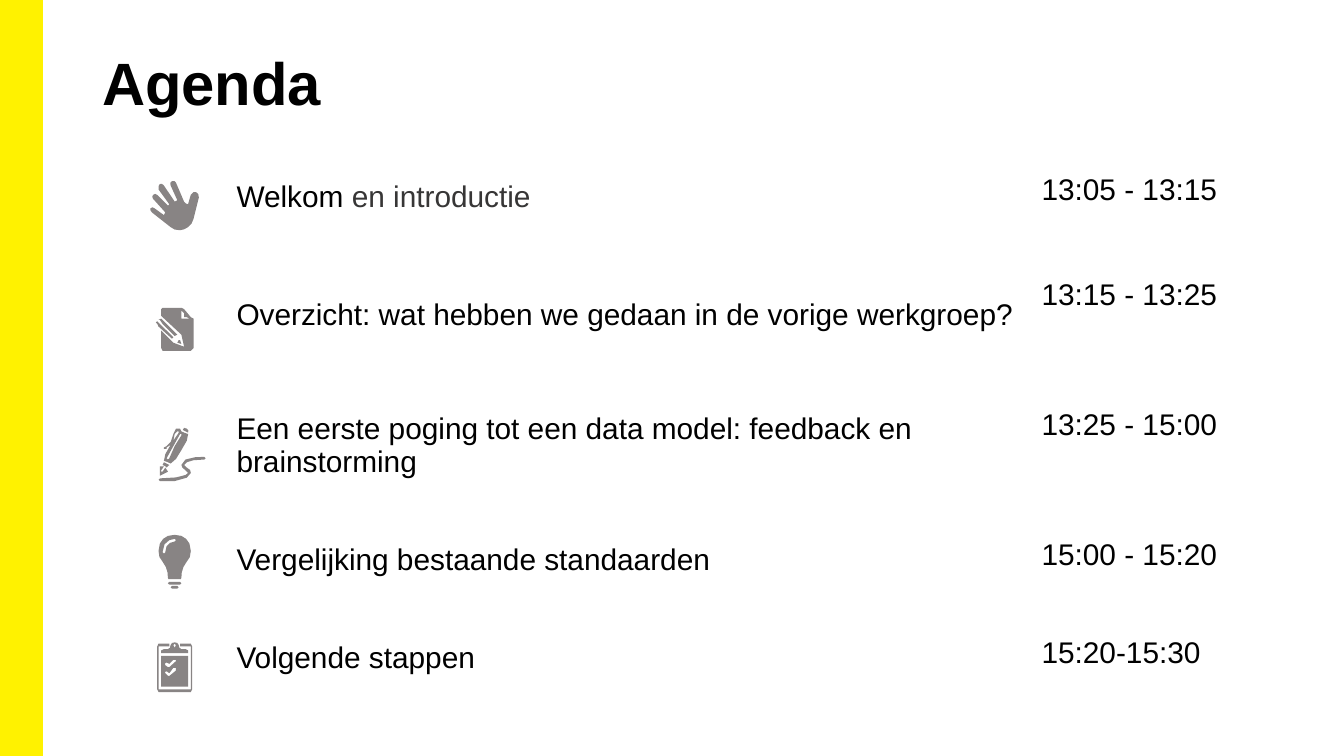
from pptx import Presentation
from pptx.dml.color import RGBColor
from pptx.enum.shapes import MSO_SHAPE
from pptx.enum.text import MSO_ANCHOR, MSO_AUTO_SIZE, PP_ALIGN
from pptx.util import Inches, Pt

YELLOW, GREY, BLACK, DARK = "FFF200", "888484", "000000", "373636"

AGENDA = [
    (0.78, [("Welkom", BLACK), (" en introductie", DARK)], "13:05 - 13:15"),
    (0.97, [("Overzicht: wat hebben we gedaan in de vorige werkgroep?", BLACK)], "13:15 - 13:25"),
    (0.97, [("Een eerste poging tot een data model: feedback en brainstorming", BLACK)],
     "13:25 - 15:00"),
    (0.73, [("Vergelijking bestaande standaarden", BLACK)], "15:00 - 15:20"),
    (0.73, [("Volgende stappen", BLACK)], "15:20-15:30"),
]

HAND = [
    [(146, 143), (144, 143), (142, 145), (140, 152), (138.5, 151.5), (137, 150), (131, 136),
     (130, 134.8), (128, 134.8), (126.8, 136), (127, 138), (132, 149), (130, 150), (122, 138),
     (120.5, 136.8), (119, 137), (118, 138.5), (118, 141), (126, 152), (125, 153), (117, 145),
     (115.5, 144.3), (114, 145), (113.3, 146.5), (114, 148), (123, 158), (122, 160), (115, 155),
     (113.5, 154.3), (112, 155), (112, 156.5), (113, 158), (127, 169), (130, 170.8),
     (134, 171.3), (137, 170.7), (140, 169), (142.5, 166.5), (144, 163), (148, 147),
     (147.6, 144.5)],
]
NOTE = [
    [(142, 236), (137, 230), (135, 229), (121, 229), (120, 230), (120, 235), (121, 236),
     (135, 249), (137, 258), (129, 255), (120, 246), (120, 259), (121, 261), (142, 261),
     (144, 259), (144, 237)],
    [(135, 237), (135, 231), (137, 233), (137, 236), (139, 236), (141, 237)],
    [(120, 242), (129, 251), (128, 252), (118, 243), (117, 241), (116, 240), (117, 239),
     (118, 240)],
    [(120, 237), (118, 238), (119, 238), (121, 241), (130, 250), (132, 249), (122, 239)],
    [(134, 253), (133, 253), (132, 255), (135, 256)],
]
PEN = [
    [(122, 334), (124, 334), (124, 333), (127, 331), (123, 338), (122, 343), (125, 344),
     (127, 345), (131, 341.5), (135, 335), (139, 328), (140, 323), (137, 322), (135, 321),
     (134, 319), (131, 319), (129, 323), (127, 329), (124, 332), (122, 333)],
    [(134, 323), (135, 323), (135, 324), (130, 332), (126, 341), (125, 342), (124, 341),
     (129, 332)],
    [(130, 323), (132, 321), (133, 321), (133, 322), (129, 328)],
    [(123, 347), (121, 346), (122, 344), (126, 346), (124, 348)],
    [(140, 322), (136, 320), (137, 318.4), (139, 319), (140.2, 320.4)],
    [(153, 341), (152, 342), (144, 342.5), (139, 344), (137, 346), (139, 348), (141.5, 349.8),
     (142, 352), (139, 355.5), (130, 358), (119, 358), (118, 357), (119, 356), (131, 355.3),
     (138, 353.5), (140, 352), (138, 350), (135.7, 348), (135, 346), (138, 342), (145, 340.3),
     (152, 340)],
    [(125, 351), (119, 354), (119, 347), (122, 347), (120, 350), (120, 351), (121, 351),
     (123, 348)],
]
BULB = [
    [(135, 434), (134, 435), (126, 435), (125, 434), (126, 433), (134, 433)],
    [(132, 436), (128, 436), (127, 437), (128, 438), (132, 438), (133, 437)],
    [(142, 410), (141.3, 414.5), (139, 418), (136.5, 422), (135.3, 426), (135, 430),
     (134.5, 431), (125.5, 431), (125, 430), (124.7, 426), (123.5, 422), (121, 418),
     (118.7, 414.5), (118, 410), (119, 404.5), (121.5, 401), (125, 398.8), (130, 398),
     (135, 398.8), (138.5, 401), (141, 404.5)],
    [(131, 402), (130, 401), (126, 402), (122.5, 405), (121, 411), (122, 412), (123, 411),
     (124, 406.5), (126.5, 404), (130, 403)],
]
CLIPBOARD = [
    [(143, 481), (143, 513), (142, 515), (118, 515), (117, 513), (117, 481), (118, 479),
     (126, 479), (126, 481), (118, 481), (118, 513), (142, 513), (142, 481), (134, 481),
     (134, 479), (142, 479)],
    [(140, 488), (140, 511), (120, 511), (120, 488)],
    [(131, 497), (129, 497), (126, 501), (124, 499.5), (123, 500), (123, 501), (125, 503),
     (126, 503), (131, 499)],
    [(131, 491), (129, 491), (126, 494), (124, 493), (123, 493.5), (123, 495), (125, 496.5),
     (126, 496.5), (131, 492)],
    [(120, 484), (122, 483), (125, 483), (126.5, 482), (127, 480), (128, 478.5), (130, 478),
     (132, 478.5), (133, 480), (133.5, 482), (135, 483), (138, 483), (140, 484), (140, 486),
     (120, 486)],
    [(129, 480), (130, 482), (131, 480), (130, 479)],
]


def color(value):
    """Turn a hex string into a colour."""
    return RGBColor.from_string(value)


class AgendaSlide:
    """Hold the text style and the current slide."""

    style = {"name": "Arial", "size": Pt(16), "bold": False}

    def __init__(self, prs):
        """Add a slide with a title placeholder."""
        self.s = prs.slides.add_slide(prs.slide_layouts[5])

    def run(self, p, text, rgb=BLACK, **changes):
        """Add a formatted run to a paragraph."""
        r = p.add_run()
        r.text = text
        for key, value in {**self.style, **changes}.items():
            setattr(r.font, key, value)
        r.font.color.rgb = color(rgb)

    def bar(self, left, top, width, height):
        """Draw the coloured edge bar."""
        sp = self.s.shapes.add_shape(MSO_SHAPE.RECTANGLE, left, top, width, height)
        sp.shadow.inherit = False
        sp.fill.solid()
        sp.fill.fore_color.rgb = sp.line.color.rgb = color(YELLOW)
        sp.line.width = Pt(1)

    def title(self, text, left, top, width, height):
        """Place and fill the title."""
        sp = self.s.shapes.title
        sp.left, sp.top, sp.width, sp.height = left, top, width, height
        tf = sp.text_frame
        frame = {"margin_left": Inches(0.07), "margin_right": Inches(0.07),
                 "margin_top": Inches(0.04), "margin_bottom": Inches(0.04),
                 "vertical_anchor": MSO_ANCHOR.TOP, "auto_size": MSO_AUTO_SIZE.NONE,
                 "word_wrap": True}
        for key, value in frame.items():
            setattr(tf, key, value)
        p = tf.paragraphs[0]
        p.alignment = PP_ALIGN.LEFT
        self.run(p, text, size=Pt(32), bold=True)

    def icon(self, contours):
        """Draw one icon from contours in hundredths of an inch."""
        fb = None
        for contour in contours:
            points = [(Inches(x / 100), Inches(y / 100)) for x, y in contour]
            if fb is None:
                fb = self.s.shapes.build_freeform(*points[0])
            else:
                fb.move_to(*points[0])
            fb.add_line_segments(points[1:], close=True)
        sp = fb.convert_to_shape()
        sp.shadow.inherit = False
        sp.fill.solid()
        sp.fill.fore_color.rgb = color(GREY)
        sp.line.fill.background()

    def cell(self, cell, runs, anchor, bottom):
        """Fill one table cell."""
        cell.fill.background()
        for side in ("left", "right", "top"):
            setattr(cell, f"margin_{side}", Inches(0.1))
        cell.margin_bottom = bottom
        cell.vertical_anchor = anchor
        for text, rgb in runs:
            self.run(cell.text_frame.paragraphs[0], text, rgb)

    def table(self, rows, left, top, widths):
        """Add the agenda table."""
        height = Inches(sum(row[0] for row in rows))
        table = self.s.shapes.add_table(len(rows), 2, left, top, sum(widths), height).table
        table.first_row = table.horz_banding = False
        for column, width in zip(table.columns, widths):
            column.width = width
        for i, (height, topic, time) in enumerate(rows):
            table.rows[i].height = Inches(height)
            self.cell(table.cell(i, 0), topic, MSO_ANCHOR.MIDDLE, Inches(0.32))
            self.cell(table.cell(i, 1), [(time, BLACK)], MSO_ANCHOR.TOP, Inches(0.1))


def main():
    """Build and save the agenda slide."""
    prs = Presentation()
    prs.slide_width, prs.slide_height = Inches(10), Inches(10 * 9 / 16)
    agenda = AgendaSlide(prs)
    agenda.bar(0, 0, Inches(0.31), prs.slide_height)
    agenda.title("Agenda", Inches(0.69), Inches(0.3), Inches(8.62), Inches(0.81))
    for contours in (HAND, PEN, BULB, CLIPBOARD, NOTE):
        agenda.icon(contours)
    agenda.table(AGENDA, Inches(1.66), Inches(1.19), [Inches(5.99), Inches(1.52)])
    prs.save("out.pptx")


if __name__ == "__main__":
    main()
